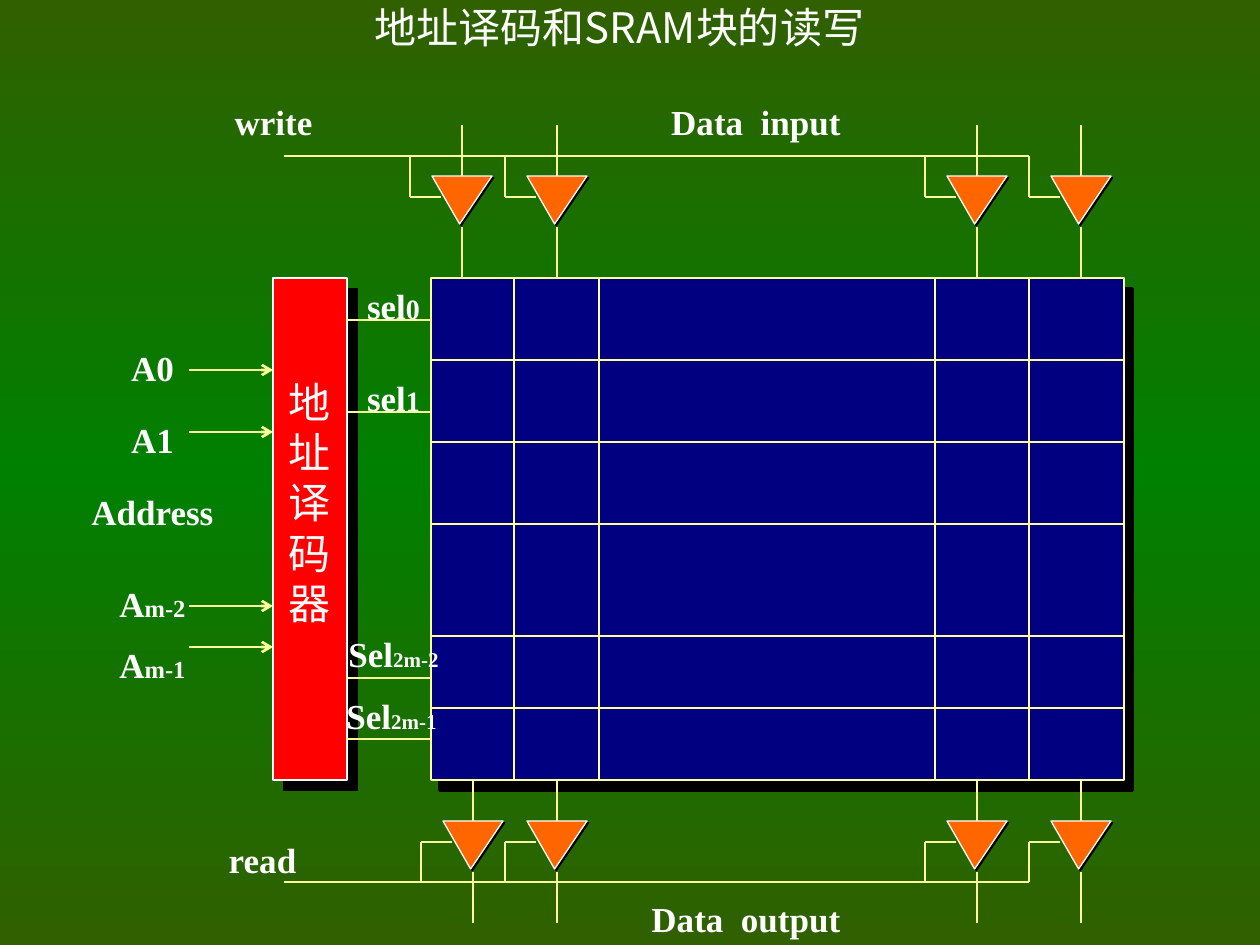
import copy

import pptx
import pptx.dml.color
import pptx.enum.shapes
import pptx.enum.text
import pptx.oxml
import pptx.oxml.ns
import pptx.util

SCALE = 914400 / 126
RGB = pptx.dml.color.RGBColor
WHITE = RGB(0xFF, 0xFF, 0xFF)
YELLOW = RGB(0xFF, 0xFF, 0x99)
ORANGE = RGB(0xFF, 0x66, 0x00)
RED = RGB(0xFF, 0x00, 0x00)
NAVY = RGB(0x00, 0x00, 0x80)
OLIVE = RGB(0x30, 0x60, 0x00)
GREEN = RGB(0x00, 0x80, 0x00)
SHAPES = pptx.enum.shapes.MSO_SHAPE
NAMESPACE = pptx.oxml.ns.nsdecls("a")
qn = pptx.oxml.ns.qn


def emu(*lengths):
    return [pptx.util.Emu(round(length * SCALE)) for length in lengths]


def shadow_effect(distance, angle):
    return pptx.oxml.parse_xml(
        f'<a:effectLst {NAMESPACE}><a:outerShdw dist="{round(distance * 12700)}" '
        f'dir="{angle * 60000}" algn="ctr" rotWithShape="0">'
        '<a:srgbClr val="000000"/></a:outerShdw></a:effectLst>')


presentation = pptx.Presentation()
presentation.slide_width, presentation.slide_height = emu(1260, 945)
slide = presentation.slides.add_slide(presentation.slide_layouts[6])

background = slide.background.fill
background.gradient()
background.gradient_angle = 270
stop_list = slide._element.find(".//" + qn("a:gsLst"))
stop_list.insert(1, copy.deepcopy(stop_list[0]))
for stop, position, color in zip(background.gradient_stops, (0, 0.5, 1), (OLIVE, GREEN, OLIVE)):
    stop.position = position
    stop.color.rgb = color

blocks = [
    (SHAPES.RECTANGLE, 431, 278, 693, 502, NAVY, YELLOW, 1.5, 7.8, 50),
    (SHAPES.RECTANGLE, 273, 278, 74, 502, RED, WHITE, 0.75, 8.5, 45),
]
lines = [(431, y, 1124, y) for y in (360, 442, 524, 636, 708)]
lines += [(x, 278, x, 780) for x in (514, 599, 935, 1029)]
lines += [(347, y, 431, y) for y in (320, 412, 678, 739)]
lines += [(284, y, 1029, y) for y in (156, 882)]
arrows = [(189, y, 273, y) for y in (370, 432, 606, 647)]

gate_rows = [
    ((462, 557, 977, 1081), 125, 176, 278, 156),
    ((473, 557, 977, 1081), 780, 821, 923, 882),
]
for columns, top, gate_top, bottom, control in gate_rows:
    for x in columns:
        blocks.append((SHAPES.ISOSCELES_TRIANGLE, x - 30, gate_top, 60, 48,
                       ORANGE, WHITE, 0.75, 1.4, 45))
        enable = gate_top + 21
        lines += [(x, top, x, gate_top), (x, gate_top + 51, x, bottom),
                  (x - 21, enable, x - 52, enable), (x - 52, enable, x - 52, control)]

for kind, left, top, width, height, fill, outline, weight, distance, angle in blocks:
    shape = slide.shapes.add_shape(kind, *emu(left, top, width, height))
    shape.fill.solid()
    shape.fill.fore_color.rgb = fill
    shape.line.color.rgb = outline
    shape.line.width = pptx.util.Pt(weight)
    shape.shadow.inherit = False
    properties = shape._element.spPr
    properties.replace(properties.find(qn("a:effectLst")), shadow_effect(distance, angle))
    if kind == SHAPES.ISOSCELES_TRIANGLE:
        shape.rotation = 180
        shape.adjustments[0] = 0.54

for ends in lines + arrows:
    connector = slide.shapes.add_connector(pptx.enum.shapes.MSO_CONNECTOR.STRAIGHT, *emu(*ends))
    connector.line.color.rgb = YELLOW
    connector.line.width = pptx.util.Pt(1.5)
    if ends in arrows:
        connector.line._get_or_add_ln().append(
            pptx.oxml.parse_xml(f'<a:tailEnd {NAMESPACE} type="arrow"/>'))
    connector._element.spPr.append(pptx.oxml.parse_xml(f"<a:effectLst {NAMESPACE}/>"))

SERIF = "Times New Roman"
SANS = "Noto Sans CJK SC"
labels = [
    (84, 0, 1071, 53, "地址译码和SRAM块的读写", "", 0, 24, SANS),
    (262, 370, 95, 265, "地址译码器", "", 0, 24, SERIF),
]
for left, top, width, text, subscript, size in [
    (200, 94, 147, "write", "", 0),
    (189, 832, 147, "read", "", 0),
    (630, 94, 252, "Data  input", "", 0),
    (620, 891, 252, "Data  output", "", 0),
    (53, 340, 199, "A0", "", 0),
    (53, 412, 199, "A1", "", 0),
    (53, 484, 199, "Address", "", 0),
    (53, 576, 199, "A", "m-2", 14),
    (53, 637, 199, "A", "m-1", 14),
    (294, 278, 199, "sel", "0", 16),
    (294, 370, 199, "sel", "1", 16),
    (294, 626, 199, "Sel", "2m-2", 12),
    (292, 688, 199, "Sel", "2m-1", 12),
]:
    labels.append((left, top, width, 55, text, subscript, size, 20, SERIF))

for left, top, width, height, text, subscript, small, size, typeface in labels:
    frame = slide.shapes.add_textbox(*emu(left, top, width, height)).text_frame
    frame.word_wrap = True
    paragraph = frame.paragraphs[0]
    paragraph.alignment = pptx.enum.text.PP_ALIGN.CENTER
    paragraph.font.name = typeface
    paragraph.font.size = pptx.util.Pt(size)
    paragraph.font.bold = size == 20
    paragraph.font.color.rgb = WHITE
    paragraph.add_run().text = text
    if subscript:
        run = paragraph.add_run()
        run.text = subscript
        run.font.size = pptx.util.Pt(small)
    if typeface == SANS:
        frame.vertical_anchor = pptx.enum.text.MSO_ANCHOR.MIDDLE
        paragraph._p.pPr.find(qn("a:defRPr")).append(
            pptx.oxml.parse_xml(f'<a:ea {NAMESPACE} typeface="{SANS}"/>'))
    else:
        for run in paragraph.runs:
            run._r.get_or_add_rPr().append(shadow_effect(1.5, 45))

presentation.save("out.pptx")
